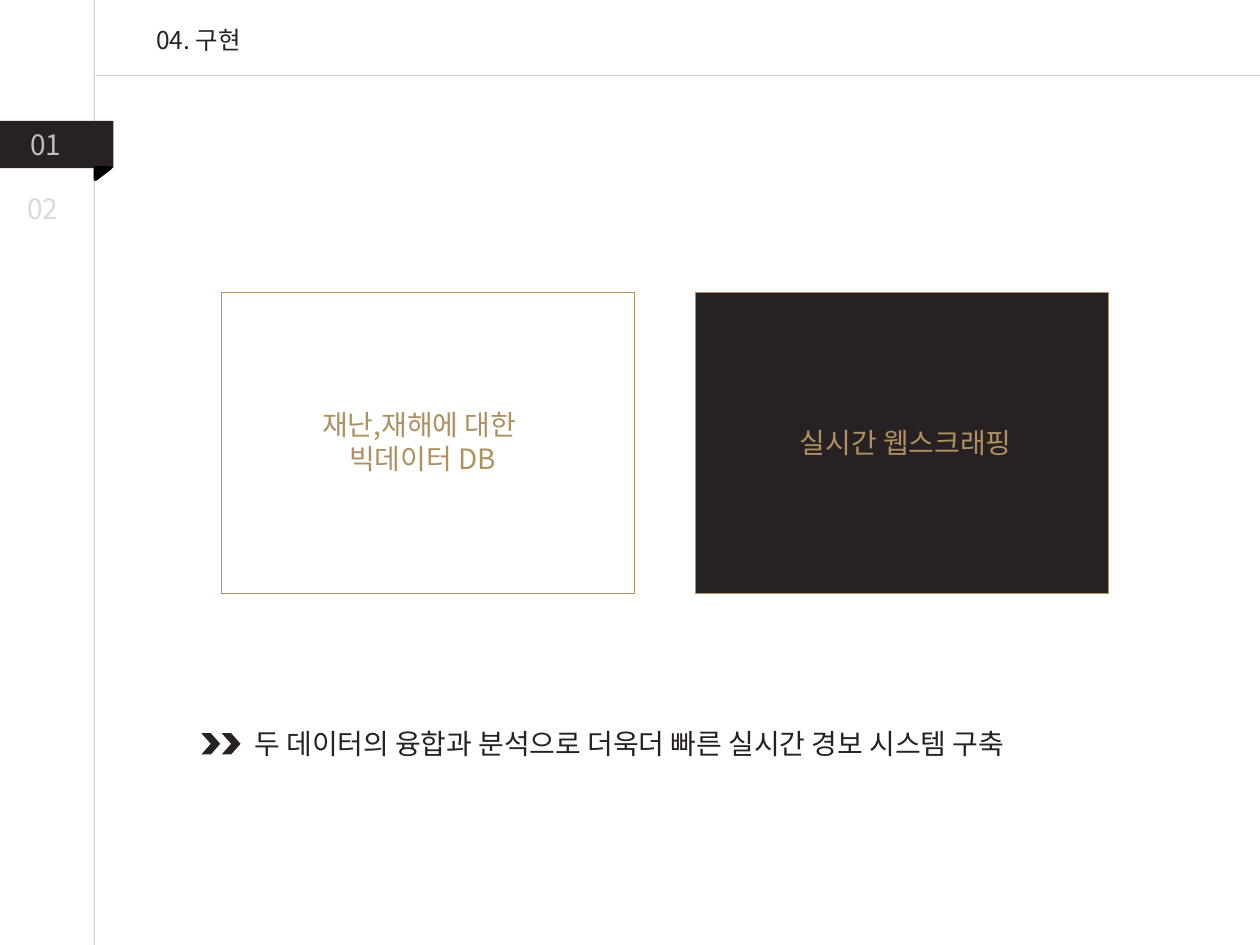
from lxml.etree import SubElement
from pptx import Presentation
from pptx.dml.color import RGBColor
from pptx.enum.shapes import MSO_CONNECTOR, MSO_SHAPE
from pptx.enum.text import MSO_AUTO_SIZE, PP_ALIGN
from pptx.oxml.ns import qn
from pptx.util import Cm, Pt

FONT = "Noto Sans CJK KR"
DARK, GOLD, RULE = "272123", "AF9061", "A6A6A6"
WIDTH, HEIGHT = 25.4, 19.05

# Texts: lines, (left, top, width, height) in cm, size, colour, centred
TEXTS = [
    (["02"], (0.3, 3.73, 1.55, 0.94), 16, "D9D9D9", False),
    (["01"], (0.36, 2.44, 1.5, 0.94), 16, "BFBFBF", False),
    (["재난,재해에 대한 ", "빅데이터 DB"], (5.11, 8.1, 6.81, 1.63), 16, GOLD, True),
    (["실시간 웹스크래핑"], (14.83, 8.46, 6.86, 0.94), 16, GOLD, True),
    (["두 데이터의 융합과 분석으로 더욱더 빠른 실시간 경보 시스템 구축"],
     (4.88, 14.53, 17.5, 0.94), 16, DARK, False),
    (["04. 구현"], (2.9, 0.38, 5, 0.86), 14, DARK, False),
]

# Rules beside the tabs and under the title: start and end in cm
RULES = [((1.9, 0), (1.9, HEIGHT)), ((WIDTH, 1.52), (1.93, 1.52))]

CARD_FILLS = [None, DARK]
CARD_LEFT, CARD_TOP, CARD_WIDTH, CARD_HEIGHT, CARD_GAP = 4.47, 5.89, 8.33, 6.07, 1.22
CHEVRON_LEFT, CHEVRON_STEP, CHEVRON_COUNT = 4.06, 0.41, 2


def color(value):
    return RGBColor.from_string(value)


def add_rule(page, start, end):
    rule = page.shapes.add_connector(
        MSO_CONNECTOR.STRAIGHT, *[Cm(v) for v in (*start, *end)])
    rule.line.width = Pt(0.75)
    rule.line.color.rgb = color(RULE)
    properties = rule._element.spPr
    tint = properties.find(".//" + qn("a:srgbClr"))
    SubElement(tint, qn("a:alpha"), val="50000")
    SubElement(properties, qn("a:effectLst"))


def add_box(page, kind, frame, fill=None, line=None, width=0.5):
    box = page.shapes.add_shape(kind, *[Cm(v) for v in frame])
    box.shadow.inherit = False
    if fill:
        box.fill.solid()
        box.fill.fore_color.rgb = color(fill)
    else:
        box.fill.background()
    if line:
        box.line.color.rgb = color(line)
        box.line.width = Pt(width)
    else:
        box.line.fill.background()
    return box


def add_text(page, lines, frame, size, tone, centred):
    text = page.shapes.add_textbox(*[Cm(v) for v in frame]).text_frame
    text.word_wrap = True
    text.auto_size = MSO_AUTO_SIZE.SHAPE_TO_FIT_TEXT
    for index, line in enumerate(lines):
        para = text.add_paragraph() if index else text.paragraphs[0]
        para.alignment = PP_ALIGN.CENTER if centred else PP_ALIGN.LEFT
        span = para.add_run()
        span.text = line
        span.font.size = Pt(size)
        span.font.name = FONT
        span.font.color.rgb = color(tone)
        SubElement(span.font._element, qn("a:ea"), typeface=FONT)


def main():
    deck = Presentation()
    deck.slide_width, deck.slide_height = Cm(WIDTH), Cm(HEIGHT)
    page = deck.slides.add_slide(deck.slide_layouts[6])

    for start, end in RULES:
        add_rule(page, start, end)

    # Active tab with its folded corner
    add_box(page, MSO_SHAPE.RECTANGLE, (0, 2.44, 2.29, 0.95), DARK)
    fold = add_box(page, MSO_SHAPE.RIGHT_TRIANGLE, (1.96, 3.35, 0.23, 0.3),
                   "000000", "000000", 2)
    fold.rotation = 90

    # Two cards side by side
    for index, fill in enumerate(CARD_FILLS):
        left = CARD_LEFT + index * (CARD_WIDTH + CARD_GAP)
        add_box(page, MSO_SHAPE.RECTANGLE,
                (left, CARD_TOP, CARD_WIDTH, CARD_HEIGHT), fill, GOLD)

    # Chevrons before the summary
    for index in range(CHEVRON_COUNT):
        left = CHEVRON_LEFT + index * CHEVRON_STEP
        add_box(page, MSO_SHAPE.CHEVRON, (left, 14.78, 0.38, 0.43), DARK)

    for entry in TEXTS:
        add_text(page, *entry)

    deck.save("out.pptx")


if __name__ == "__main__":
    main()
